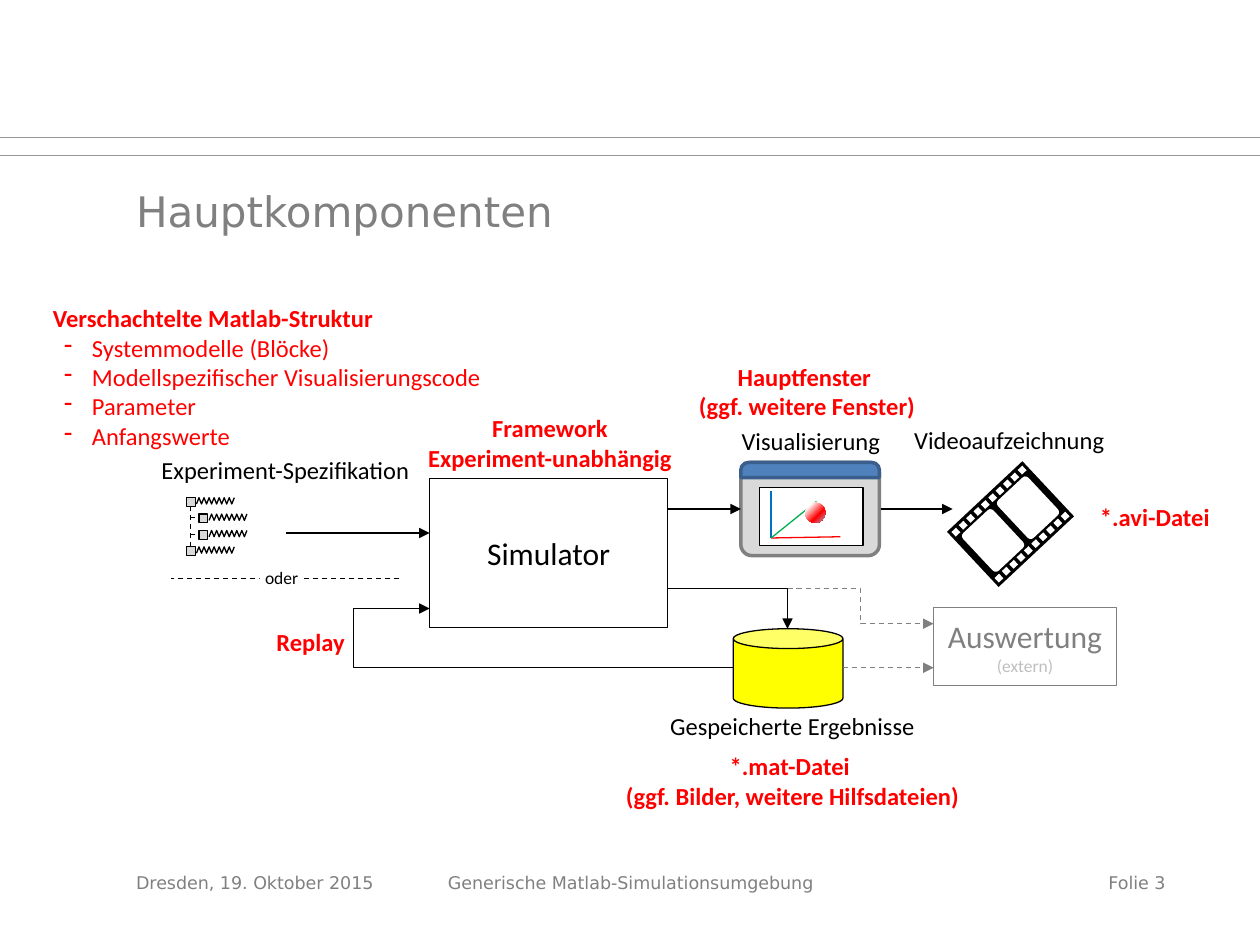
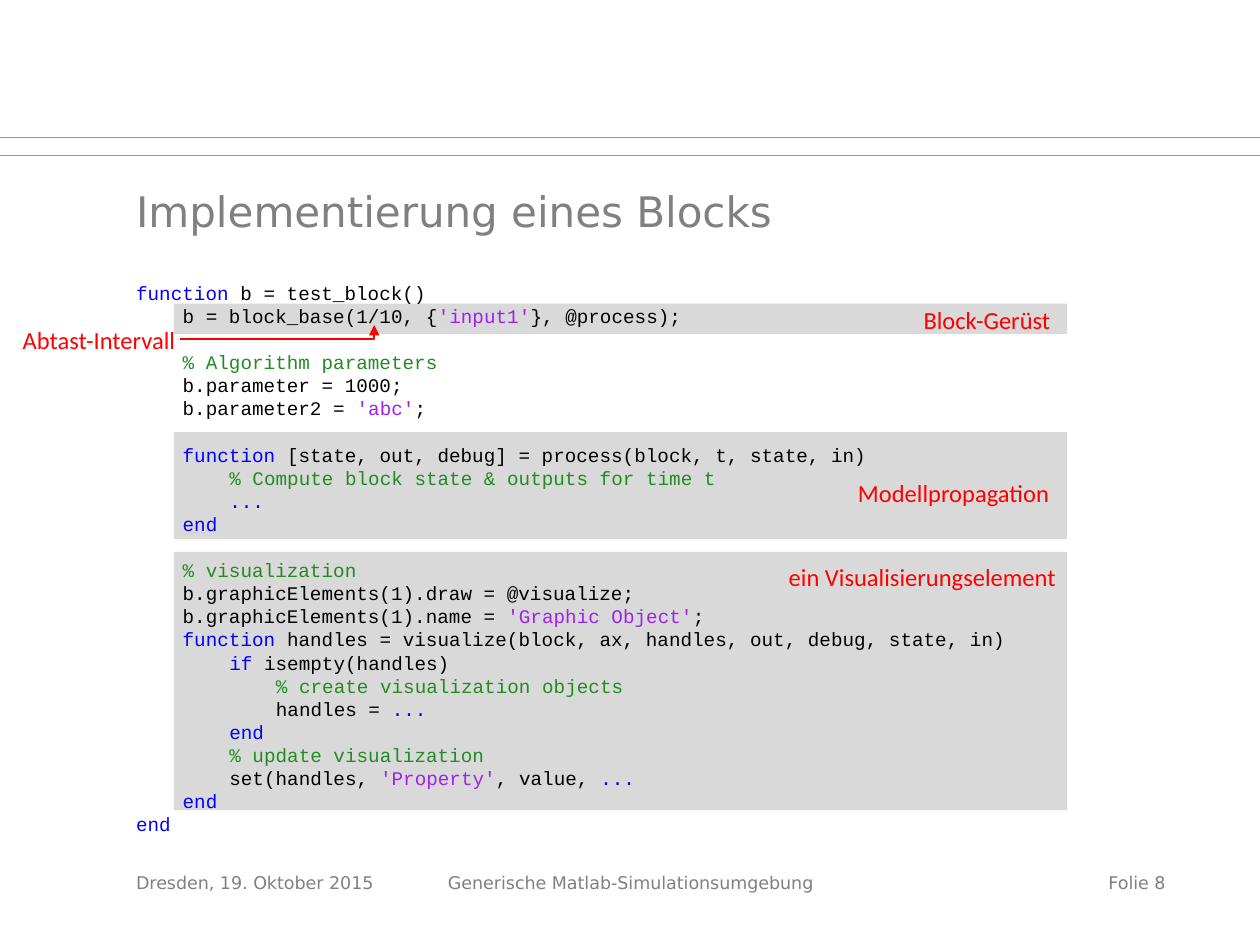
import math
import pptx
import pptx.dml.color
import pptx.enum.dml
import pptx.enum.shapes
import pptx.enum.text
import pptx.oxml.ns
import pptx.util
from lxml import etree

Inches = pptx.util.Inches
Pt = pptx.util.Pt
qn = pptx.oxml.ns.qn
SHAPE = pptx.enum.shapes.MSO_SHAPE
LINK = pptx.enum.shapes.MSO_CONNECTOR
ALIGN = pptx.enum.text.PP_ALIGN
ANCHOR = pptx.enum.text.MSO_ANCHOR
FIT = pptx.enum.text.MSO_AUTO_SIZE

COLORS = {
    "rule": "969696", "grey": "808080", "pale": "BFBFBF", "band": "D9D9D9",
    "black": "000000", "white": "FFFFFF", "red": "FF0000", "yellow": "FFFF00",
    "bar": "4F81BD", "bar_edge": "3A5F8C", "axis": "0070C0", "green": "00B050",
    "lilac": "B3A2C7", "keyword": "0000FF", "string": "A020F0", "comment": "228B22",
}


def rgb(name):
    return pptx.dml.color.RGBColor.from_string(COLORS[name])


class Deck:
    heading_font = "DejaVu Sans"
    label_font = "Calibri"
    code_font = "Courier New"
    code_size = 11
    code_pitch = 13.2
    code_indent = 0.37

    def __init__(self):
        self.prs = pptx.Presentation()
        self.prs.slide_width = Inches(10)
        self.prs.slide_height = Inches(7.5)

    def new_slide(self, title, number, layout):
        self.slide = self.prs.slides.add_slide(self.prs.slide_layouts[layout])
        self.shapes = self.slide.shapes
        for y in (1.23, 1.09):
            self.line(0, y, 10, y, "rule", 0.5)
        tf = self.placeholder(self.shapes.title, 1.08, 1.42, 8.21, 0.42)
        self.put_text(tf, title, 24, "grey", align=ALIGN.LEFT, name=self.heading_font)
        for x, w, text, align in (
            (1.08, 2.25, "Dresden, 19. Oktober 2015", ALIGN.LEFT),
            (3.42, 3.17, "Generische Matlab-Simulationsumgebung", ALIGN.CENTER),
            (7.17, 2.08, f"Folie {number}", ALIGN.RIGHT),
        ):
            sp = self.shapes.add_textbox(Inches(x), Inches(6.92), Inches(w), Inches(0.29))
            sp.text_frame.word_wrap = True
            self.insets(sp.text_frame, 0, 0, 0, 0)
            self.put_text(sp.text_frame, text, 10, "grey", align=align, name=self.heading_font)

    def placeholder(self, sp, x, y, w, h):
        sp.left, sp.top, sp.width, sp.height = (Inches(v) for v in (x, y, w, h))
        tf = sp.text_frame
        tf.vertical_anchor = ANCHOR.TOP
        tf.auto_size = FIT.NONE
        self.insets(tf, 0, 0.05, 0.1, 0.05)
        return tf

    def insets(self, tf, left, top, right, bottom):
        tf.margin_left, tf.margin_top = Inches(left), Inches(top)
        tf.margin_right, tf.margin_bottom = Inches(right), Inches(bottom)

    def font(self, p, size, color, bold=False, name=None):
        for r in p.runs:
            r.font.name = name or self.label_font
            r.font.size = Pt(size)
            r.font.bold = bold
            r.font.color.rgb = rgb(color)

    def put_text(self, tf, text, size, color, bold=False, align=ALIGN.CENTER, name=None):
        tf.text = text
        for p in tf.paragraphs:
            p.alignment = align
            self.font(p, size, color, bold, name)

    def label(self, x, y, w, h, text, color="black", bold=False, align=ALIGN.CENTER):
        sp = self.shapes.add_textbox(Inches(x), Inches(y), Inches(w), Inches(h))
        tf = sp.text_frame
        tf.word_wrap = False
        tf.auto_size = FIT.SHAPE_TO_FIT_TEXT
        tf.vertical_anchor = ANCHOR.MIDDLE
        self.insets(tf, 0, 0, 0, 0)
        self.put_text(tf, text, 14, color, bold, align)
        return tf

    def dashed_list(self, x, y, w, h, heading, items):
        tf = self.label(x, y, w, h, "\n".join([heading] + items), "red", True, ALIGN.LEFT)
        for p in tf.paragraphs[1:]:
            self.font(p, 14, "red")
            self.indent(p, 0.31, -0.22)
            etree.SubElement(p._p.get_or_add_pPr(), qn("a:buChar")).set("char", "-")

    def indent(self, p, left, first):
        pPr = p._p.get_or_add_pPr()
        pPr.set("marL", str(Inches(left)))
        pPr.set("indent", str(Inches(first)))

    def listing(self, x, y, w, h, lines):
        tf = self.placeholder(self.slide.placeholders[1], x, y, w, h)
        for i, (level, gap, runs) in enumerate(lines):
            p = tf.paragraphs[0] if i == 0 else tf.add_paragraph()
            p.line_spacing = Pt(self.code_pitch)
            p.space_before = Pt(gap * self.code_pitch)
            self.indent(p, level * self.code_indent, 0)
            etree.SubElement(p._p.get_or_add_pPr(), qn("a:buNone"))
            for text, color in runs:
                r = p.add_run()
                r.text = text
                r.font.name = self.code_font
                r.font.size = Pt(self.code_size)
                r.font.color.rgb = rgb(color)

    def shape(self, kind, x, y, w, h, fill, line=None, width=0.75, adj=(), rot=0):
        sp = self.shapes.add_shape(kind, Inches(x), Inches(y), Inches(w), Inches(h))
        sp.shadow.inherit = False
        sp.rotation = rot
        for i, value in enumerate(adj):
            sp.adjustments[i] = value
        sp.fill.solid()
        sp.fill.fore_color.rgb = rgb(fill)
        if line:
            self.stroke(sp.line, line, width)
        else:
            sp.line.fill.background()
        return sp

    def band(self, x, y, w, h):
        sp = self.shape(SHAPE.RECTANGLE, x, y, w, h, "band")
        self.shapes._spTree.insert(2, sp._element)

    def ball(self, x, y, d, stops):
        sp = self.shape(SHAPE.OVAL, x, y, d, d, "red")
        sp.fill.gradient()
        sp.fill.gradient_angle = 315
        gs_list = sp._element.spPr.find(qn("a:gradFill")).find(qn("a:gsLst"))
        for gs in list(gs_list):
            gs_list.remove(gs)
        for pos, color in stops:
            gs = etree.SubElement(gs_list, qn("a:gs"), pos=str(pos * 1000))
            etree.SubElement(gs, qn("a:srgbClr"), val=COLORS[color])

    def stroke(self, line, color, width, dash=False, arrow=False):
        line.color.rgb = rgb(color)
        line.width = Pt(width)
        if dash:
            line.dash_style = pptx.enum.dml.MSO_LINE.DASH
        if arrow:
            etree.SubElement(line._get_or_add_ln(), qn("a:tailEnd"), type="triangle")

    def line(self, x1, y1, x2, y2, color="black", width=0.75, dash=False, arrow=False,
             bend=None, adj=None):
        kind = LINK.ELBOW if bend else LINK.STRAIGHT
        cx = self.shapes.add_connector(kind, Inches(x1), Inches(y1), Inches(x2), Inches(y2))
        self.stroke(cx.line, color, width, dash, arrow)
        spPr = cx._element.spPr
        etree.SubElement(spPr, qn("a:effectLst"))
        if bend:
            geom = spPr.find(qn("a:prstGeom"))
            geom.set("prst", bend)
            if adj is not None:
                guides = geom.find(qn("a:avLst"))
                etree.SubElement(guides, qn("a:gd"), name="adj1", fmla=f"val {round(adj * 100000)}")

    def polyline(self, points, color="black", width=0.75, arrow=False):
        pts = [(Inches(x), Inches(y)) for x, y in points]
        fb = self.shapes.build_freeform(*pts[0])
        fb.add_line_segments(pts[1:], close=False)
        sp = fb.convert_to_shape()
        sp.shadow.inherit = False
        sp.fill.background()
        self.stroke(sp.line, color, width, arrow=arrow)

    def open_group(self):
        self.shapes = self.slide.shapes.add_group_shape().shapes

    def close_group(self):
        self.shapes = self.slide.shapes

    def tree_icon(self, x, y):
        self.open_group()
        for i, level in enumerate((0, 1, 1, 0)):
            left, top = x + 0.1 * level, y + 0.13 * i
            self.shape(SHAPE.RECTANGLE, left, top, 0.07, 0.07, "band", "black")
            self.polyline([(left + 0.08 + 0.02 * k, top + 0.05 * (1 - k % 2)) for k in range(16)])
            if level:
                self.line(x + 0.03, top + 0.03, left, top + 0.03, dash=True)
        self.line(x + 0.03, y + 0.39, x + 0.03, y + 0.06, dash=True)
        self.close_group()

    def window_icon(self, x, y):
        self.open_group()
        self.shape(SHAPE.ROUNDED_RECTANGLE, x, y, 1.1, 0.74, "band", "grey", 2, [0.12])
        self.shape(SHAPE.ROUND_2_SAME_RECTANGLE, x, y, 1.1, 0.12, "bar", "bar_edge", 2, [0.5, 0])
        self.shape(SHAPE.RECTANGLE, x + 0.15, y + 0.2, 0.82, 0.46, "white", "black")
        ox, oy = x + 0.24, y + 0.6
        self.line(ox, oy - 0.37, ox, oy, "axis")
        self.line(ox + 0.55, oy - 0.01, ox, oy, "red")
        self.line(ox + 0.36, oy - 0.29, ox, oy, "green")
        self.ball(x + 0.51, y + 0.32, 0.16, [(19, "white"), (64, "red"), (100, "lilac")])
        self.close_group()

    def film_icon(self, cx, cy, angle):
        cos, sin = math.cos(math.radians(angle)), math.sin(math.radians(angle))

        def part(kind, u, v, w, h, fill, adj=()):
            x, y = cx + u * cos - v * sin, cy + u * sin + v * cos
            self.shape(kind, x - w / 2, y - h / 2, w, h, fill, adj=adj, rot=angle)

        self.open_group()
        part(SHAPE.RECTANGLE, 0, 0, 0.6, 0.82, "black")
        for v in (-0.19, 0.19):
            part(SHAPE.ROUNDED_RECTANGLE, 0, v, 0.41, 0.33, "white", [0.1])
        for u in (-0.25, 0.25):
            for i in range(10):
                part(SHAPE.RECTANGLE, u, (i - 4.5) * 0.08, 0.05, 0.05, "white")
        self.close_group()


deck = Deck()

deck.new_slide("Hauptkomponenten", 3, 5)
simulator = deck.shape(SHAPE.RECTANGLE, 3.41, 3.8, 1.89, 1.18, "white", "black")
deck.put_text(simulator.text_frame, "Simulator", 18, "black")
deck.line(3.17, 4.59, 1.36, 4.59, dash=True)
deck.shape(SHAPE.CAN, 5.82, 4.99, 0.87, 0.63, "yellow", "black")
deck.tree_icon(1.48, 3.95)
oder = deck.shape(SHAPE.RECTANGLE, 2.06, 4.5, 0.35, 0.17, "white")
oder.text_frame.word_wrap = False
deck.insets(oder.text_frame, 0.04, 0, 0.04, 0)
deck.put_text(oder.text_frame, "oder", 10, "black")
deck.window_icon(5.88, 3.67)
deck.film_icon(8.02, 4.16, 46.9)
auswertung = deck.shape(SHAPE.RECTANGLE, 7.41, 4.82, 1.45, 0.62, "white", "grey")
deck.put_text(auswertung.text_frame, "Auswertung\n(extern)", 18, "grey")
deck.font(auswertung.text_frame.paragraphs[1], 10, "pale")

for x1, x2, y in ((2.27, 3.41, 4.23), (5.3, 5.88, 4.04), (6.99, 7.56, 4.04)):
    deck.line(x1, y, x2, y, arrow=True)
deck.line(6.69, 5.3, 7.41, 5.3, "grey", dash=True, arrow=True)
deck.line(5.82, 5.3, 3.41, 4.83, arrow=True, bend="bentConnector3", adj=1.25)
deck.line(6.25, 4.67, 7.41, 4.95, "grey", dash=True, arrow=True, bend="bentConnector3", adj=0.5)
deck.line(5.3, 4.67, 6.25, 4.99, arrow=True, bend="bentConnector2")

for x, y, w, text in (
    (1.27, 3.61, 1.99, "Experiment-Spezifikation"),
    (5.31, 5.64, 1.96, "Gespeicherte Ergebnisse"),
    (5.88, 3.38, 1.11, "Visualisierung"),
    (7.25, 3.37, 1.52, "Videoaufzeichnung"),
):
    deck.label(x, y, w, 0.24, text)
deck.dashed_list(0.42, 2.4, 3.44, 1.18, "Verschachtelte Matlab-Struktur", [
    "Systemmodelle (Blöcke)", "Modellspezifischer Visualisierungscode", "Parameter", "Anfangswerte"])
for x, y, w, h, text in (
    (5.53, 2.87, 1.75, 0.47, "Hauptfenster \n(ggf. weitere Fenster)"),
    (4.94, 5.96, 2.7, 0.47, "*.mat-Datei \n(ggf. Bilder, weitere Hilfsdateien)"),
    (2.19, 4.97, 0.55, 0.24, "Replay"),
    (8.72, 3.98, 0.89, 0.24, "*.avi-Datei"),
    (3.39, 3.28, 1.95, 0.47, "Framework\nExperiment-unabhängig"),
):
    deck.label(x, y, w, h, text, "red", True)

deck.new_slide("Implementierung eines Blocks", 8, 1)
for y, h in ((2.41, 0.24), (3.43, 0.85), (4.38, 2.05)):
    deck.band(1.38, y, 7.09, h)
K, C, S, N = "keyword", "comment", "string", "black"
deck.listing(1.08, 2.18, 8.17, 4.49, [
    (0, 0, [("function", K), (" b = test_block()", N)]),
    (1, 0, [("b = block_base(1/10, {", N), ("'input1'", S), ("}, @process);", N)]),
    (1, 1, [("% Algorithm parameters", C)]),
    (1, 0, [("b.parameter = 1000;", N)]),
    (1, 0, [("b.parameter2 = ", N), ("'abc'", S), (";", N)]),
    (1, 1, [("function", K), (" [state, out, debug] = process(block, t, state, in)", N)]),
    (2, 0, [("% Compute block state & outputs for time t", C)]),
    (2, 0, [("...", K)]),
    (1, 0, [("end", K)]),
    (1, 1, [("% visualization", C)]),
    (1, 0, [("b.graphicElements(1).draw = @visualize;", N)]),
    (1, 0, [("b.graphicElements(1).name = ", N), ("'Graphic Object'", S), (";", N)]),
    (1, 0, [("function", K), (" handles = visualize(block, ax, handles, out, debug, state, in)", N)]),
    (2, 0, [("if ", K), ("isempty(handles)", N)]),
    (3, 0, [("% create visualization objects", C)]),
    (3, 0, [("handles = ", N), ("...", K)]),
    (2, 0, [("end", K)]),
    (2, 0, [("% update visualization", C)]),
    (2, 0, [("set(handles, ", N), ("'Property'", S), (", value, ", N), ("...", K)]),
    (1, 0, [("end", K)]),
    (0, 0, [("end", K)]),
])
for x, y, w, text in (
    (6.26, 4.46, 2.15, "ein Visualisierungselement"),
    (6.81, 3.79, 1.54, "Modellpropagation"),
    (7.33, 2.42, 1.03, "Block-Gerüst"),
    (0.18, 2.58, 1.24, "Abtast-Intervall"),
):
    deck.label(x, y, w, 0.24, text, "red", align=ALIGN.LEFT)
deck.polyline([(1.43, 2.69), (2.97, 2.69), (2.97, 2.58)], "red", 1, arrow=True)

deck.prs.save("out.pptx")
